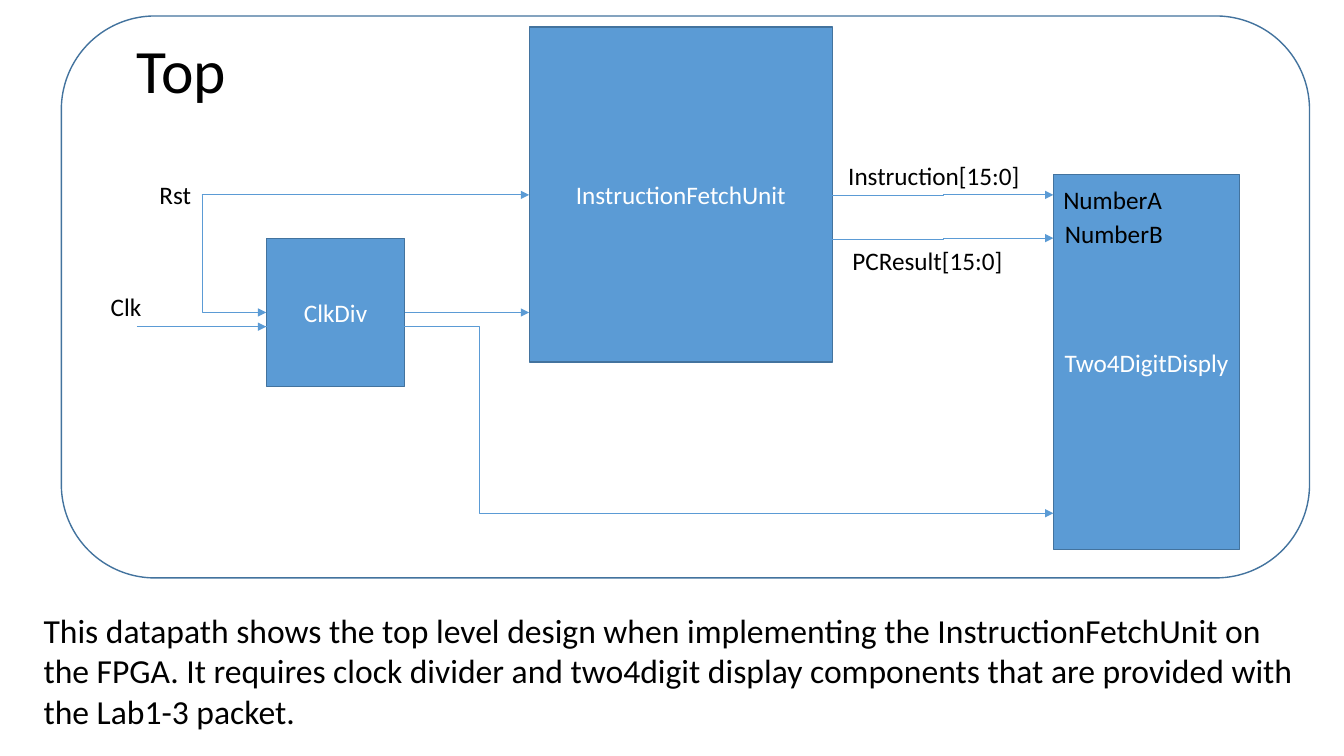
import dataclasses
import typing

import lxml.etree
import pptx
import pptx.dml.color
import pptx.enum.shapes
import pptx.enum.text
import pptx.oxml.ns
import pptx.util

SHAPE = pptx.enum.shapes.MSO_SHAPE
WIRE = pptx.enum.shapes.MSO_CONNECTOR
ALIGN = pptx.enum.text.PP_ALIGN
ANCHOR = pptx.enum.text.MSO_ANCHOR
FIT = pptx.enum.text.MSO_AUTO_SIZE
COLS, ROWS = 160, 90


@dataclasses.dataclass(frozen=True)
class Theme:
    font: str = "Calibri"
    ink: str = "000000"
    light: str = "FFFFFF"
    fill: str = "5B9BD5"
    edge: str = "43739E"
    title: int = 44
    note: int = 24
    label: int = 18
    border: float = 1
    wire: float = 0.5


@dataclasses.dataclass(frozen=True)
class Block:
    left: float
    top: float
    width: float
    height: float
    text: str = ""

    @property
    def right(self) -> float:
        return self.left + self.width


class Label(typing.NamedTuple):
    text: str
    left: float
    top: float
    width: float
    height: float = 4.8


class Wire(typing.NamedTuple):
    left: float
    top: float
    right: float
    end: float
    bend: float = 0.5


THEME = Theme()
deck = pptx.Presentation()
deck.slide_width = pptx.util.Inches(13.333)
deck.slide_height = pptx.util.Inches(7.5)
slide = deck.slides.add_slide(deck.slide_layouts[5])


def col(count: float) -> int:
    return round(deck.slide_width * count / COLS)


def row(count: float) -> int:
    return round(deck.slide_height * count / ROWS)


def place(left: float, top: float, width: float, height: float) -> tuple[int, int, int, int]:
    return col(left), row(top), col(width), row(height)


def paint(code: str) -> pptx.dml.color.RGBColor:
    return pptx.dml.color.RGBColor.from_string(code)


def write(frame, text: str, *, size: int = THEME.label, ink: str = THEME.ink,
          align=ALIGN.LEFT, anchor=ANCHOR.TOP, wrap: bool = True,
          fit=FIT.NONE, space: float = 1.0) -> None:
    frame.word_wrap = wrap
    frame.auto_size = fit
    frame.vertical_anchor = anchor
    para = frame.paragraphs[0]
    para.alignment = align
    para.line_spacing = space
    run = para.add_run()
    run.text = text
    run.font.name = THEME.font
    run.font.size = pptx.util.Pt(size)
    run.font.color.rgb = paint(ink)


def draw_block(block: Block, kind=SHAPE.RECTANGLE, solid: bool = True) -> None:
    shape = slide.shapes.add_shape(
        kind, *place(block.left, block.top, block.width, block.height))
    shape.shadow.inherit = False
    if solid:
        shape.fill.solid()
        shape.fill.fore_color.rgb = paint(THEME.fill)
    else:
        shape.fill.background()
    shape.line.color.rgb = paint(THEME.edge)
    shape.line.width = pptx.util.Pt(THEME.border)
    if block.text:
        write(shape.text_frame, block.text, ink=THEME.light,
              align=ALIGN.CENTER, anchor=ANCHOR.MIDDLE)


def draw_wire(wire: Wire) -> None:
    tag = pptx.oxml.ns.qn
    kind = WIRE.STRAIGHT if wire.top == wire.end else WIRE.ELBOW
    line = slide.shapes.add_connector(
        kind, col(wire.left), row(wire.top), col(wire.right), row(wire.end))
    line.line.color.rgb = paint(THEME.fill)
    line.line.width = pptx.util.Pt(THEME.wire)
    props = line._element.spPr
    lxml.etree.SubElement(props.find(tag("a:ln")), tag("a:tailEnd"), type="triangle")
    lxml.etree.SubElement(props, tag("a:effectLst"))
    if kind == WIRE.ELBOW:
        guides = props.find(tag("a:prstGeom")).find(tag("a:avLst"))
        lxml.etree.SubElement(guides, tag("a:gd"), name="adj1",
                              fmla=f"val {round(wire.bend * 100000)}")


def draw_label(label: Label, **style) -> None:
    box = slide.shapes.add_textbox(
        *place(label.left, label.top, label.width, label.height))
    write(box.text_frame, label.text, fit=FIT.SHAPE_TO_FIT_TEXT, **style)


FRAME = Block(7.3, 1.9, 148.6, 66.9)
FETCH = Block(63, 3.2, 36.1, 39.9, "InstructionFetchUnit")
CLOCK = Block(31.7, 28.4, 16.5, 17.6, "ClkDiv")
SHOW = Block(125.4, 20.8, 22.2, 44.6, "Two4DigitDisply")

RESET_X, RESET_Y = 24, 23.2
SLOW_Y, CLOCK_Y = 37.2, 38.9

WIRES = [
    Wire(FETCH.right, 23.3, SHOW.left, RESET_Y),
    Wire(FETCH.right, 28.45, SHOW.left, 28.35),
    Wire(16.3, CLOCK_Y, CLOCK.left, CLOCK_Y),
    Wire(RESET_X, RESET_Y, FETCH.left, RESET_Y),
    Wire(RESET_X, RESET_Y, CLOCK.left, SLOW_Y, 0.01),
    Wire(CLOCK.right, SLOW_Y, FETCH.left, SLOW_Y),
    Wire(18.6, CLOCK_Y, SHOW.left, 61.1, 0.36),
]

LABELS = [
    Label("Clk", 12, 34.1, 6.1),
    Label("Rst", 17.8, 20.8, 6.2),
    Label("Instruction[15:0]", 99.8, 18.5, 23),
    Label("PCResult[15:0]", 100.3, 28.6, 20.5),
    Label("NumberA", 125.4, 21.4, 14.3),
    Label("NumberB", 125.6, 25.4, 14.2),
]

NOTE = Label(
    "This datapath shows the top level design when implementing the "
    "InstructionFetchUnit on the FPGA. It requires clock divider and "
    "two4digit display components that are provided with the Lab1-3 packet.",
    4, 72, 152, 15.7)

title = slide.shapes.title
title.left, title.top, title.width, title.height = place(15.1, 0, 138, 17.4)
write(title.text_frame, "Top", size=THEME.title, anchor=ANCHOR.MIDDLE, space=0.9)

draw_block(FRAME, SHAPE.ROUNDED_RECTANGLE, solid=False)
for block in (FETCH, CLOCK, SHOW):
    draw_block(block)
for wire in WIRES:
    draw_wire(wire)
for label in LABELS:
    draw_label(label, wrap=False)
draw_label(NOTE, size=THEME.note)

deck.save("out.pptx")
